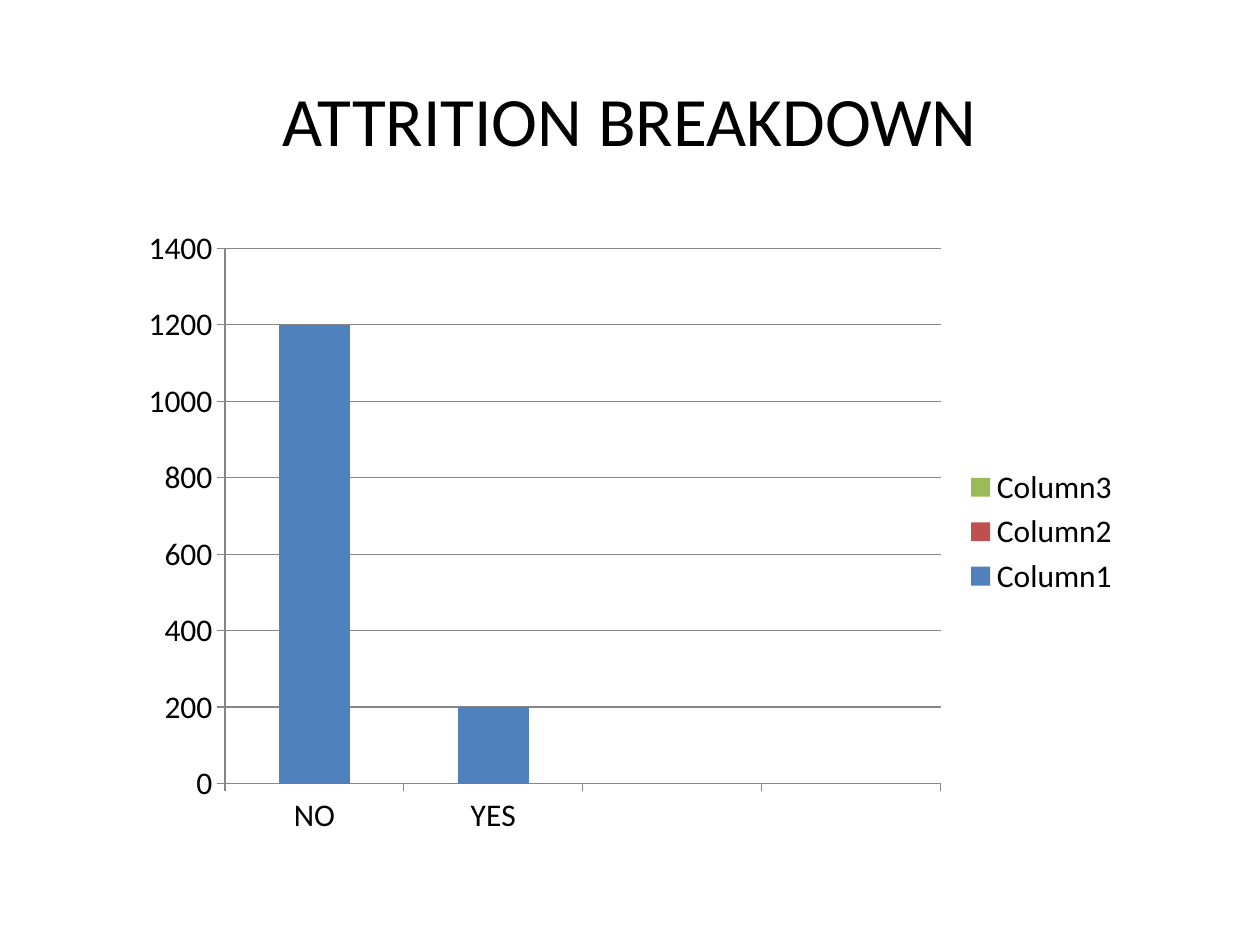
from pptx import Presentation
from pptx.chart.data import CategoryChartData
from pptx.dml.color import RGBColor
from pptx.enum.chart import XL_CHART_TYPE, XL_LEGEND_POSITION, XL_TICK_MARK
from pptx.enum.text import MSO_ANCHOR, PP_ALIGN
from pptx.util import Inches, Pt

SERIES = [
    ("Column1", (1200, 200, None, None), "4F81BD"),
    ("Column2", (None,) * 4, "C0504D"),
    ("Column3", (None,) * 4, "9BBB59"),
]


def rgb(value):
    """Turn a hex string into a colour."""
    return RGBColor.from_string(value)


def set_font(font, size, color="000000", name="Calibri"):
    """Apply size, colour and typeface to a font."""
    font.size = Pt(size)
    font.name = name
    font.color.rgb = rgb(color)


def set_text(sp, text, size, align=PP_ALIGN.CENTER, anchor=MSO_ANCHOR.MIDDLE):
    """Write one formatted paragraph into a shape."""
    tf = sp.text_frame
    tf.word_wrap = True
    tf.vertical_anchor = anchor
    p = tf.paragraphs[0]
    p.alignment = align
    r = p.add_run()
    r.text = text
    set_font(r.font, size)


def set_line(line, color="868686", width=0.75):
    """Give a line its colour and width."""
    line.color.rgb = rgb(color)
    line.width = Pt(width)


def add_title(s, text):
    """Place and fill the title placeholder."""
    sp = s.shapes.title
    sp.left, sp.top = Inches(0.5), Inches(0.55)
    sp.width, sp.height = Inches(9), Inches(0.78)
    set_text(sp, text, 39.6)


def add_attrition_chart(s):
    """Add the stacked column chart of attrition counts."""
    data = CategoryChartData()
    data.categories = ["NO", "YES", "", ""]
    for name, values, _ in SERIES:
        data.add_series(name, values)
    chart = s.shapes.add_chart(
        XL_CHART_TYPE.COLUMN_STACKED,
        Inches(1.02), Inches(1.72), Inches(7.97), Inches(5), data,
    ).chart
    set_font(chart.font, 18)
    chart.has_title = False
    chart.has_legend = True
    chart.legend.position = XL_LEGEND_POSITION.RIGHT
    chart.legend.include_in_layout = False

    plot = chart.plots[0]
    plot.gap_width, plot.overlap = 150, 100
    plot.vary_by_categories = False
    for series, (_, _, color) in zip(plot.series, SERIES):
        series.format.fill.solid()
        series.format.fill.fore_color.rgb = rgb(color)

    for axis in (chart.category_axis, chart.value_axis):
        axis.major_tick_mark = XL_TICK_MARK.OUTSIDE
        axis.minor_tick_mark = XL_TICK_MARK.NONE
        set_line(axis.format.line)
    axis = chart.value_axis
    axis.minimum_scale, axis.maximum_scale, axis.major_unit = 0, 1400, 200
    axis.has_major_gridlines = True
    set_line(axis.major_gridlines.format.line)


def main():
    """Build and save the slide."""
    prs = Presentation()
    prs.slide_width, prs.slide_height = Inches(10), Inches(7.5)
    s = prs.slides.add_slide(prs.slide_layouts[5])
    add_title(s, "ATTRITION BREAKDOWN")
    add_attrition_chart(s)
    prs.save("out.pptx")


if __name__ == "__main__":
    main()
